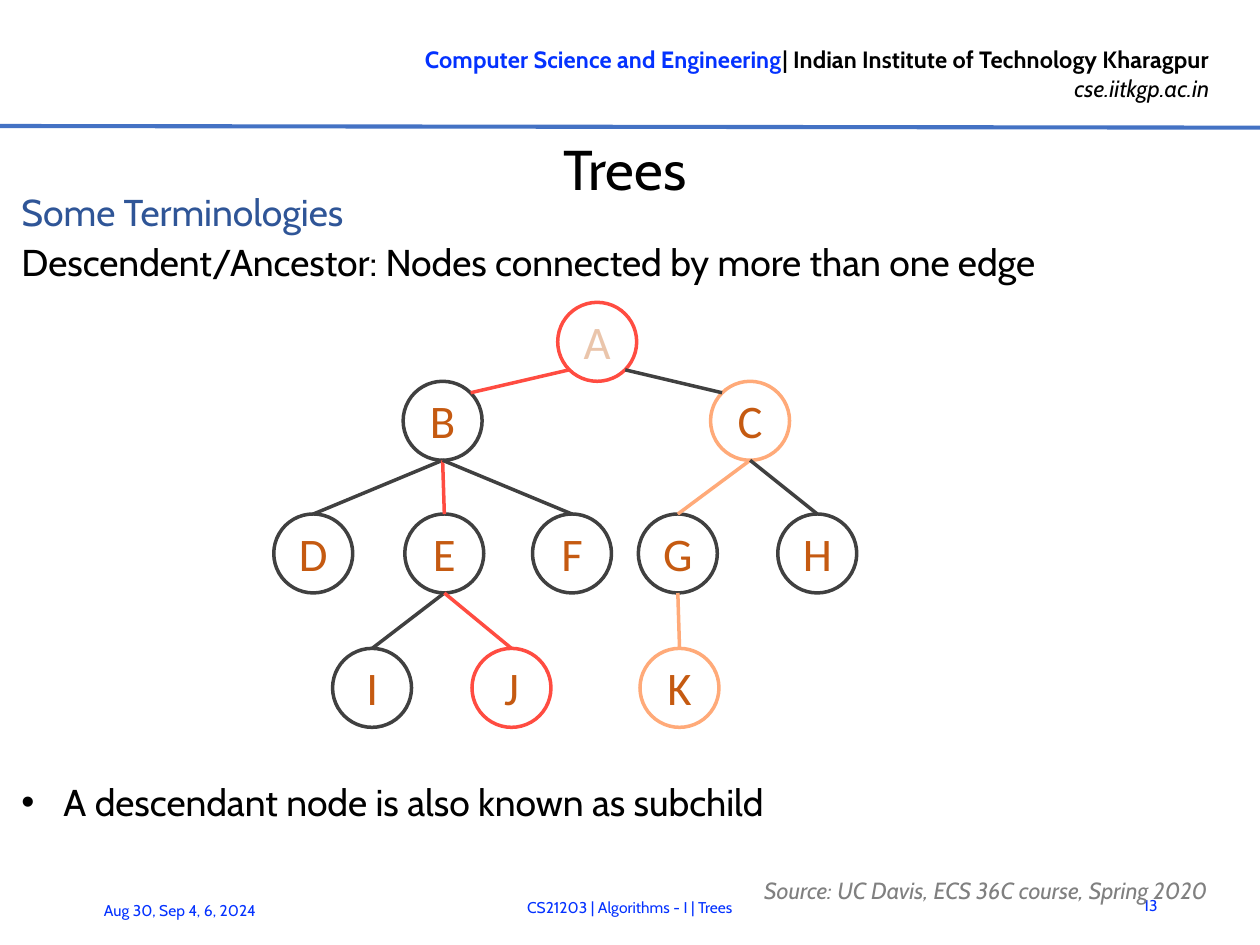
from pptx import Presentation
from pptx.dml.color import RGBColor
from pptx.enum.shapes import MSO_CONNECTOR, MSO_SHAPE
from pptx.enum.text import MSO_ANCHOR, PP_ALIGN
from pptx.util import Inches, Pt
from lxml.etree import SubElement
from pptx.oxml.ns import qn

# Content
WIDTH = 7.5
HEIGHT = WIDTH * 3 / 4
COLORS = {"blue": "0432FF", "black": "000000", "navy": "2F5597", "rule": "4472C4",
          "gray": "808080", "dark": "404040", "red": "FF4C41", "peach": "FFAA79",
          "rust": "C55A11"}
LEFT, MID, RIGHT = PP_ALIGN.LEFT, PP_ALIGN.CENTER, PP_ALIGN.RIGHT

# Each paragraph is a list of runs: (text, color, font settings)
HEAD = [[("Computer Science and Engineering", "blue", {"bold": True}),
         ("| Indian Institute of Technology Kharagpur", "black", {"bold": True})],
        [("cse.iitkgp.ac.in", "black", {"italic": True})]]
TITLE = [[("Trees", "black", {})]]
INTRO = [[("Some Terminologies", "navy", {})],
         [("Descendent/Ancestor: Nodes connected by more than one edge", "black", {})]]
NOTE = [[("A descendant node is also known as subchild", "black", {})]]
SOURCE = [[("Source: UC Davis, ECS 36C course, Spring 2020", "gray", {"italic": True})]]
FOOTER = [  # text, box, alignment
    ("Aug 30, Sep 4, 6, 2024", (0.52, 5.27, 1.31, 0.3), LEFT),
    ("CS21203 | Algorithms - I | Trees", (1.24, 5.25, 5.02, 0.3), MID),
    ("13", (6.62, 5.24, 0.37, 0.3), RIGHT),
]

# Tree: row tops, then name: (left, row, ring color)
SIZE = 0.47
ROWS = [1.8, 2.27, 3.06, 3.86]
NODES = {"A": (3.32, 0, "red"), "B": (2.4, 1, "dark"), "C": (4.23, 1, "peach"),
         "D": (1.63, 2, "dark"), "E": (2.41, 2, "dark"), "F": (3.17, 2, "dark"),
         "G": (3.8, 2, "dark"), "H": (4.63, 2, "dark"), "I": (1.98, 3, "dark"),
         "J": (2.81, 3, "red"), "K": (3.81, 3, "peach")}
EDGES = [("A", "B", "red"), ("A", "C", "dark"), ("B", "D", "dark"),
         ("B", "E", "red"), ("B", "F", "dark"), ("C", "G", "peach"),
         ("C", "H", "dark"), ("E", "I", "dark"), ("E", "J", "red"),
         ("G", "K", "peach")]

deck = Presentation()
deck.slide_width, deck.slide_height = Inches(WIDTH), Inches(HEIGHT)
slide = deck.slides.add_slide(deck.slide_layouts[6])
shapes = slide.shapes


def paint(color):
    return RGBColor.from_string(COLORS[color])


def add_text(box, paras, size, align=LEFT, font="Cabin", anchor=MSO_ANCHOR.TOP,
             inset=None, bullet=False, **gaps):
    frame = shapes.add_textbox(*map(Inches, box)).text_frame
    frame.word_wrap = True
    frame.vertical_anchor = anchor
    for side, gap in (inset or {}).items():
        setattr(frame, "margin_" + side, Inches(gap))
    for i, runs in enumerate(paras):
        para = frame.add_paragraph() if i else frame.paragraphs[0]
        if bullet:
            props = para._p.get_or_add_pPr()
            props.set("marL", str(Inches(0.25)))
            props.set("indent", str(-Inches(0.25)))
            SubElement(props, qn("a:buFont")).set("typeface", "Arial")
            SubElement(props, qn("a:buChar")).set("char", "•")
        para.alignment = align
        for key, points in gaps.items():
            if i or key != "space_before":
                setattr(para, key, Pt(points))
        for text, color, style in runs:
            run = para.add_run()
            run.text = text
            run.font.color.rgb = paint(color)
            for key, value in {"name": font, "size": Pt(size), **style}.items():
                setattr(run.font, key, value)
    return frame


def add_line(start, end, color, width):
    line = shapes.add_connector(MSO_CONNECTOR.STRAIGHT, *map(Inches, start + end))
    line.line.color.rgb = paint(color)
    line.line.width = Pt(width)
    SubElement(line._element.spPr, qn("a:effectLst"))


def center(name):
    left, row, _ = NODES[name]
    return left + SIZE / 2, ROWS[row] + SIZE / 2


# Header and title
add_text((1.91, 0.22, 5.39, 0.44), HEAD, 10.13, RIGHT)
add_line((0, 0.75), (WIDTH, 0.76), "rule", 1.75)
add_text((0.24, 0.79, 6.95, 0.41), TITLE, 24, MID, anchor=MSO_ANCHOR.MIDDLE,
         inset={"left": 0.01, "top": 0.01, "right": 0, "bottom": 0})

# Body text
body = {"line_spacing": 17, "space_before": 2, "space_after": 2}
add_text((0.03, 1.11, 7.37, 0.68), INTRO, 16, **body)
add_text((0.03, 4.62, 7.37, 0.36), NOTE, 16, bullet=True, **body)

# Footer and source
for text, box, align in FOOTER:
    add_text(box, [[(text, "blue", {})]], 6.75, align, anchor=MSO_ANCHOR.MIDDLE)
add_text((4.45, 5.17, 3.02, 0.17), SOURCE, 10, anchor=MSO_ANCHOR.MIDDLE,
         line_spacing=18, space_after=3)

# Nodes and their letters
for name, (left, row, color) in NODES.items():
    ring = shapes.add_shape(MSO_SHAPE.OVAL, Inches(left), Inches(ROWS[row]),
                            Inches(SIZE), Inches(SIZE))
    ring.shadow.inherit = False
    ring.fill.background()
    ring.line.color.rgb = paint(color)
    ring.line.width = Pt(1.5)
    x, y = center(name)
    label = add_text((x - 0.19, y - 0.22, 0.38, 0.44), [[(name, "rust", {})]],
                     20, MID, "Calibri")
    if name == "A":  # faded root letter
        tint = label._txBody.find(".//" + qn("a:srgbClr"))
        SubElement(tint, qn("a:alpha")).set("val", "34000")

# Edges: diagonal points of the ring under the root, bottom to top elsewhere
for upper, lower, color in EDGES:
    (x1, y1), (x2, y2) = center(upper), center(lower)
    half = SIZE / 2
    shift, drop = 0, half
    if upper == "A":
        drop = half * 0.71
        shift = drop if x2 > x1 else -drop
    add_line((x1 + shift, y1 + drop), (x2 - shift, y2 - drop), color, 1.5)

deck.save("out.pptx")
